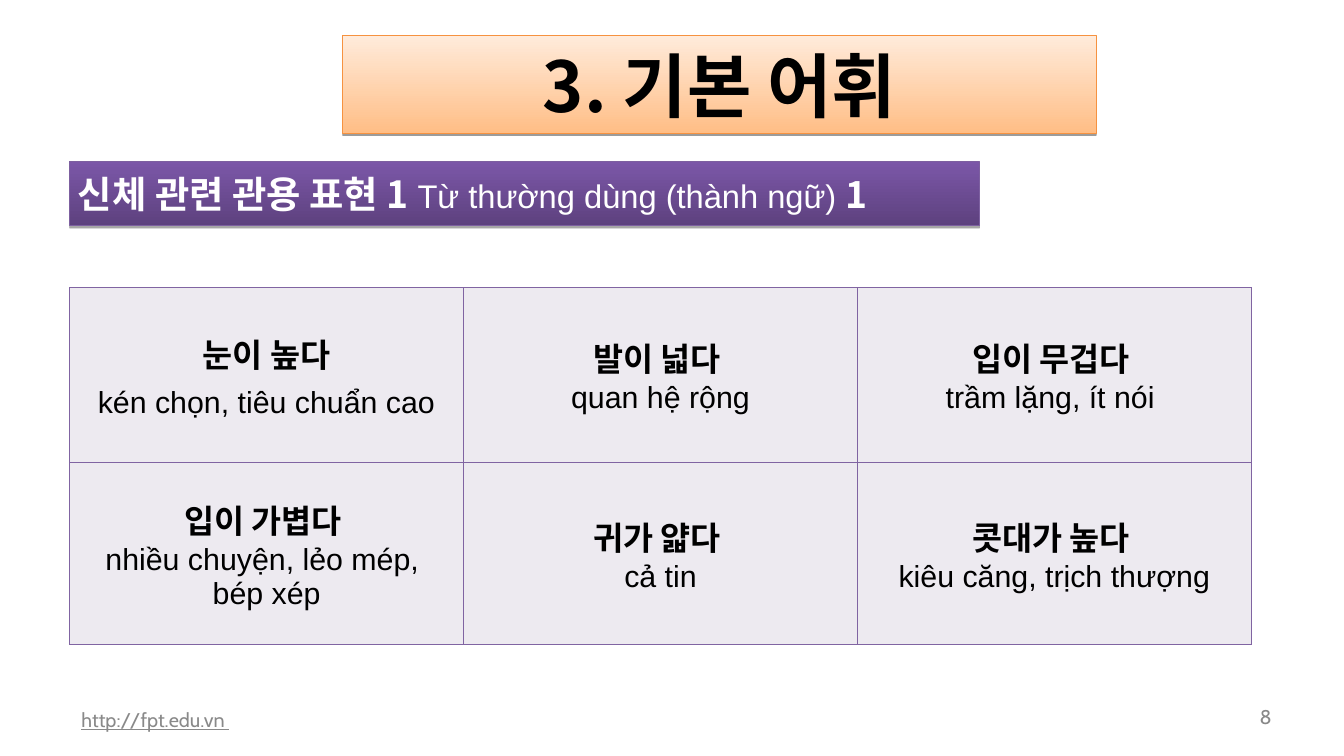
from lxml import etree
from pptx import Presentation
from pptx.dml.color import RGBColor
from pptx.enum.shapes import MSO_SHAPE
from pptx.enum.text import MSO_ANCHOR, PP_ALIGN
from pptx.oxml.ns import qn
from pptx.util import Inches, Pt

RECT = MSO_SHAPE.RECTANGLE
MIDDLE = MSO_ANCHOR.MIDDLE
LEFT, CENTER, RIGHT = PP_ALIGN.LEFT, PP_ALIGN.CENTER, PP_ALIGN.RIGHT

KOREAN, VIETNAMESE, FOOTER = "Noto Sans CJK KR", "Arial", "Cabin"
BLACK, WHITE, GREY = "000000", "FFFFFF", "898989"
CELL_FILL, CELL_BORDER = "EDEAF0", "8064A2"

# Each cell: the Korean idiom, then its meaning line by line
IDIOMS = [
    [("눈이 높다", "kén chọn, tiêu chuẩn cao"),
     ("발이 넓다 ", "quan hệ rộng"),
     ("입이 무겁다 ", "trầm lặng, ít nói ")],
    [("입이 가볍다 ", "nhiều chuyện, lẻo mép, ", "bép xép"),
     ("귀가 얇다 ", "cả tin"),
     ("콧대가 높다 ", "kiêu căng, trịch thượng")],
]


def rgb(color):
    return RGBColor.from_string(color)


def add_run(p, text, size, font, color, bold=False, underline=False):
    r = p.add_run()
    r.text = text
    r.font.size = Pt(size)
    r.font.bold = bold
    r.font.underline = underline
    r.font.color.rgb = rgb(color)
    r.font.name = font
    # Hangul takes its typeface from the East Asian slot
    etree.SubElement(r.font._element, qn("a:ea"), typeface=font)


def set_frame(tf, side, top):
    tf.word_wrap = True
    tf.vertical_anchor = MIDDLE
    tf.margin_left = tf.margin_right = Inches(side)
    tf.margin_top = tf.margin_bottom = Inches(top)


def add_footer(s, box, text, align, underline=False):
    tf = s.shapes.add_textbox(*map(Inches, box)).text_frame
    set_frame(tf, 0.14, 0.07)
    p = tf.paragraphs[0]
    p.alignment = align
    add_run(p, text, 17, FOOTER, GREY, underline=underline)


def add_shadow(sp, alpha, distance):
    sp.shadow.inherit = False
    effects = sp._element.spPr.find(qn("a:effectLst"))
    shadow = etree.SubElement(effects, qn("a:outerShdw"), blurRad="0",
                              dist=str(Pt(distance)), dir="5400000", rotWithShape="0")
    color = etree.SubElement(shadow, qn("a:srgbClr"), val=BLACK)
    etree.SubElement(color, qn("a:alpha"), val=str(alpha * 1000))


def add_banner(s, box, bottom, top, line, alpha, distance, align, runs):
    sp = s.shapes.add_shape(RECT, *map(Inches, box))
    sp.fill.gradient()
    sp.fill.gradient_angle = 90
    for stop, color in zip(sp.fill.gradient_stops, (bottom, top)):
        stop.color.rgb = rgb(color)
    sp.line.color.rgb = rgb(line)
    sp.line.width = Pt(0.75)
    add_shadow(sp, alpha, distance)
    set_frame(sp.text_frame, 0.1, 0.05)
    p = sp.text_frame.paragraphs[0]
    p.alignment = align
    for run in runs:
        add_run(p, *run)


def set_borders(cell, color, width):
    tcPr = cell._tc.get_or_add_tcPr()
    for i, side in enumerate(("a:lnL", "a:lnR", "a:lnT", "a:lnB")):
        ln = etree.Element(qn(side), w=str(Pt(width)))
        fill = etree.SubElement(ln, qn("a:solidFill"))
        etree.SubElement(fill, qn("a:srgbClr"), val=color)
        tcPr.insert(i, ln)


def fill_cell(cell, idiom, *meaning):
    cell.fill.solid()
    cell.fill.fore_color.rgb = rgb(CELL_FILL)
    set_borders(cell, CELL_BORDER, 0.45)
    cell.vertical_anchor = MIDDLE
    tf = cell.text_frame
    p = tf.paragraphs[0]
    p.alignment = CENTER
    add_run(p, idiom, 28, KOREAN, BLACK, True)
    for text in meaning:
        p = tf.add_paragraph()
        p.alignment = CENTER
        add_run(p, text, 26, VIETNAMESE, BLACK)


def add_idiom_table(s):
    box = map(Inches, (0.83, 3.42, 14.07, 4.25))
    table = s.shapes.add_table(len(IDIOMS), len(IDIOMS[0]), *box).table
    table.first_row = table.horz_banding = False
    for column in table.columns:
        column.width = Inches(4.69)
    for row, height in zip(table.rows, (2.08, 2.17)):
        row.height = Inches(height)
    for row, entries in zip(table.rows, IDIOMS):
        for cell, entry in zip(row.cells, entries):
            fill_cell(cell, *entry)
    # The first meaning stands a little apart from its idiom
    table.cell(0, 0).text_frame.paragraphs[1].space_before = Pt(8)


def main():
    prs = Presentation()
    prs.slide_width, prs.slide_height = Inches(16), Inches(9)
    s = prs.slides.add_slide(prs.slide_layouts[6])

    # Footer
    add_footer(s, (0.83, 8.33, 5.07, 0.48), "http://fpt.edu.vn ", LEFT, underline=True)
    add_footer(s, (14.5, 8.33, 0.78, 0.41), "8", RIGHT)

    # Title and section heading
    add_banner(s, (4.08, 0.42, 8.97, 1.17), "FFBE86", "FFEBDB", "F69240", 38, 1.6,
               CENTER, [("3. 기본 어휘", 60, KOREAN, BLACK, True)])
    add_banner(s, (0.83, 1.92, 10.83, 0.77), "5D417E", "7B57A8", "7D60A0", 35, 1.8,
               LEFT, [("신체 관련 관용 표현 1 ", 32, KOREAN, WHITE, True),
                      ("Từ thường dùng (thành ngữ) ", 28, VIETNAMESE, WHITE),
                      ("1", 32, KOREAN, WHITE, True)])

    # Vocabulary
    add_idiom_table(s)
    prs.save("out.pptx")


if __name__ == "__main__":
    main()
